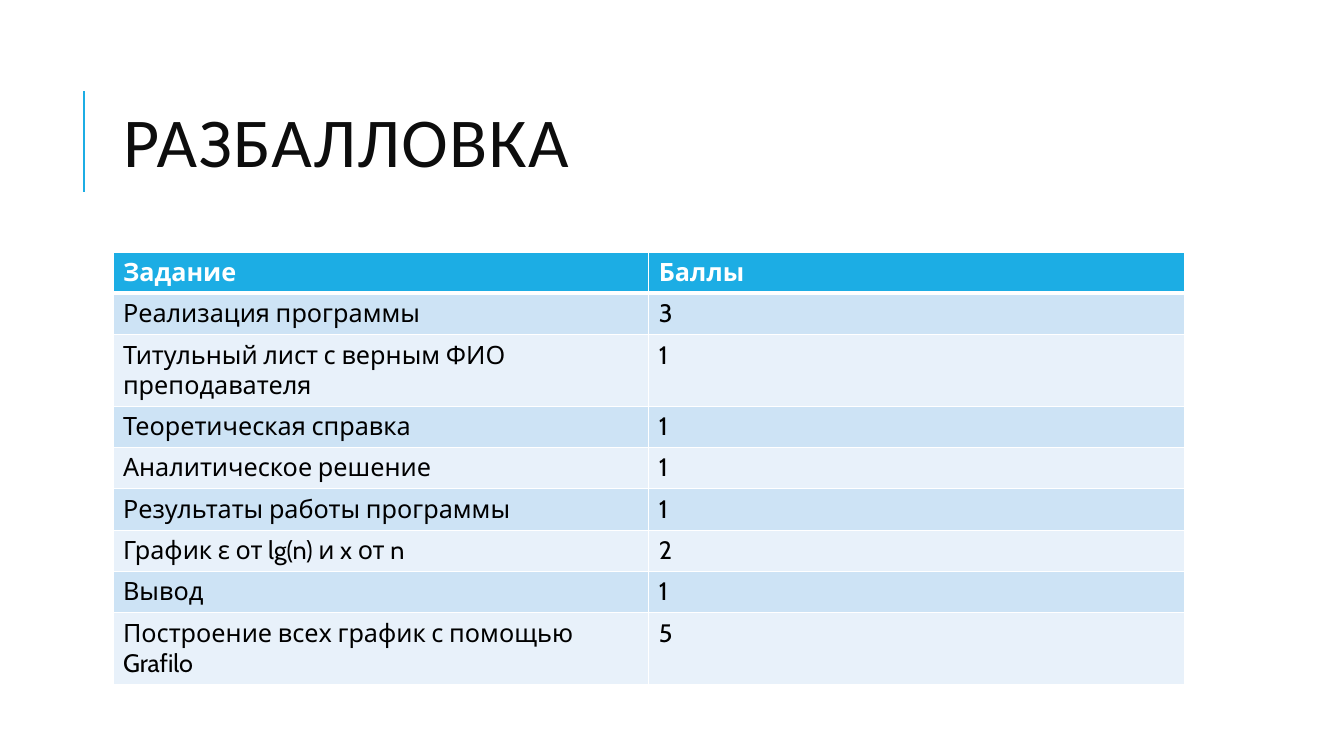
from lxml.etree import SubElement
from pptx import Presentation
from pptx.dml.color import RGBColor
from pptx.enum.shapes import MSO_CONNECTOR
from pptx.enum.text import MSO_ANCHOR, PP_ALIGN
from pptx.oxml.ns import qn
from pptx.util import Inches, Pt

ACCENT = "1CADE4"
WHITE = "FFFFFF"
BANDS = ("CDE3F5", "E8F1FA")
SCORES = [
    ("Задание", "Баллы"),
    ("Реализация программы", "3"),
    ("Титульный лист с верным ФИО преподавателя", "1"),
    ("Теоретическая справка", "1"),
    ("Аналитическое решение", "1"),
    ("Результаты работы программы", "1"),
    ("График ε от lg(n) и x от n", "2"),
    ("Вывод", "1"),
    ("Построение всех график с помощью Grafilo", "5"),
]


def paint(color_format, color):
    color_format.rgb = RGBColor.from_string(color)


def format_run(run, font, size, color, bold=False):
    run.font.name = font
    run.font.size = Pt(size)
    run.font.bold = bold
    paint(run.font.color, color)


def add_heading(slide, left, top, width, height):
    heading = slide.shapes.title
    heading.left, heading.top = Inches(left), Inches(top)
    heading.width, heading.height = Inches(width), Inches(height)
    frame = heading.text_frame
    frame.text = "РАЗБАЛЛОВКА"
    frame.word_wrap = True
    frame.vertical_anchor = MSO_ANCHOR.MIDDLE
    paragraph = frame.paragraphs[0]
    paragraph.alignment = PP_ALIGN.LEFT
    paragraph.line_spacing = 0.8
    run = paragraph.runs[0]
    format_run(run, "Calibri", 50, "0D0D0D")
    run.font._element.set("spc", "100")

    x = Inches(left - 0.29)
    accent_rule = slide.shapes.add_connector(
        MSO_CONNECTOR.STRAIGHT, x, Inches(top + 1.26), x, Inches(top + 0.26))
    paint(accent_rule.line.color, ACCENT)
    accent_rule.line.width = Pt(1.5)
    SubElement(accent_rule._element.spPr, qn("a:effectLst"))


def add_borders(cell, top, bottom):
    properties = cell._tc.get_or_add_tcPr()
    widths = {"a:lnL": 1, "a:lnR": 1, "a:lnT": top, "a:lnB": bottom}
    for side, width in widths.items():
        border = SubElement(properties, qn(side), w=str(Pt(width)))
        fill = SubElement(border, qn("a:solidFill"))
        SubElement(fill, qn("a:srgbClr"), val=WHITE)


def add_scores(slide, left, top, width, row_height):
    scores = slide.shapes.add_table(
        len(SCORES), 2, Inches(left), Inches(top), Inches(width),
        Inches(row_height * len(SCORES))).table
    for column in scores.columns:
        column.width = Inches(width / 2)
    for row_index, entry in enumerate(SCORES):
        scores.rows[row_index].height = Inches(row_height)
        is_header = row_index == 0
        for column_index, wording in enumerate(entry):
            cell = scores.cell(row_index, column_index)
            cell.text_frame.text = wording
            format_run(cell.text_frame.paragraphs[0].runs[0], "Cabin", 18,
                       WHITE if is_header else "000000", is_header)
            add_borders(cell, 3 if row_index == 1 else 1, 3 if is_header else 1)
            cell.fill.solid()
            paint(cell.fill.fore_color,
                  ACCENT if is_header else BANDS[(row_index - 1) % 2])


def main():
    presentation = Presentation()
    presentation.slide_width = Inches(13.33)
    presentation.slide_height = Inches(7.5)
    slide = presentation.slides.add_slide(presentation.slide_layouts[5])
    slide.background.fill.solid()
    paint(slide.background.fill.fore_color, WHITE)
    add_heading(slide, 1.12, 0.64, 10.63, 1.64)
    add_scores(slide, 1.12, 2.5, 10.63, 0.41)
    presentation.save("out.pptx")


if __name__ == "__main__":
    main()
